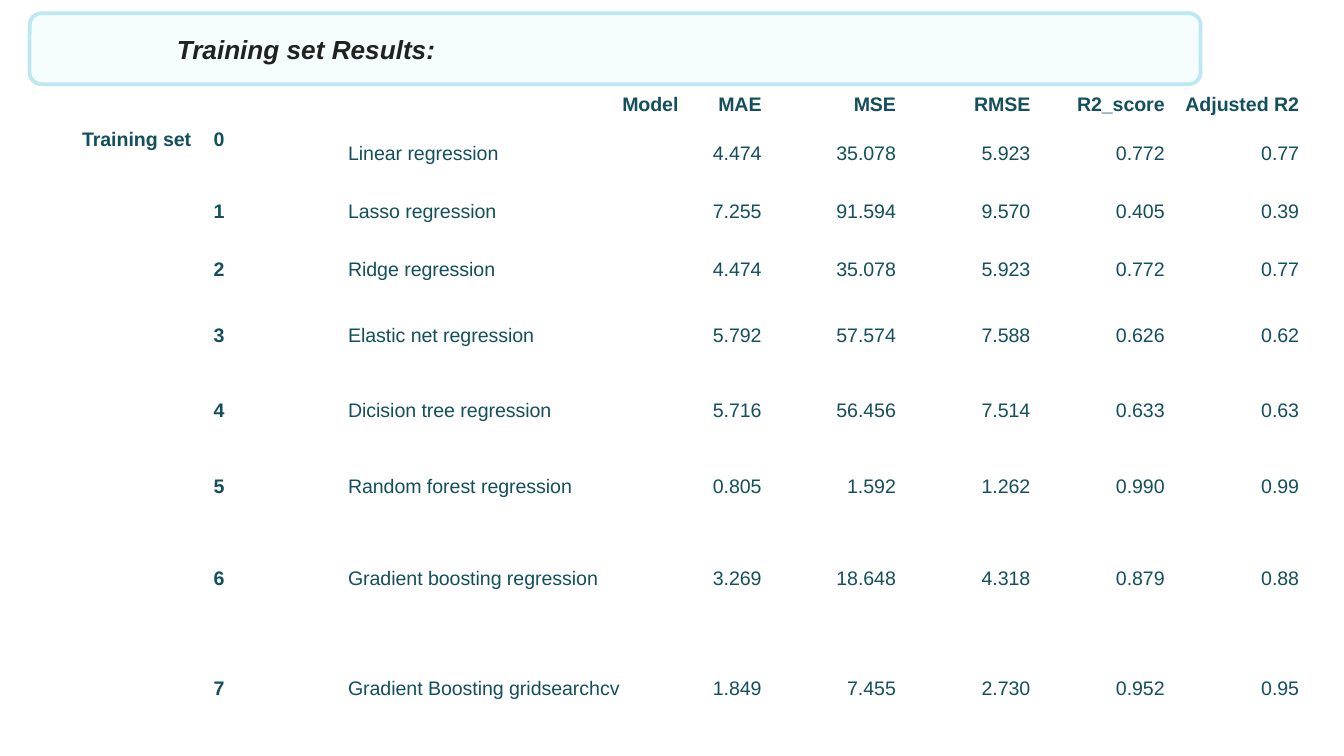
from pptx import Presentation
from pptx.dml.color import RGBColor
from pptx.enum import shapes, text
from pptx.util import Pt

WHITE = RGBColor(0xFF, 0xFF, 0xFF)
TEAL = RGBColor(0x13, 0x4F, 0x5C)
INK = RGBColor(0x21, 0x21, 0x21)
BANNER_FILL = RGBColor(0xF5, 0xFD, 0xFF)
BANNER_LINE = RGBColor(0xBD, 0xE8, 0xF1)
FONT = "Arial"

COLUMN_WIDTHS = [70.5, 72, 186, 44.5] + [72] * 4
ROW_HEIGHTS = [21.6] + [31] * 3 + [40.3] * 3 + [58.9] * 2
HEADERS = ["", "", "Model", "MAE", "MSE", "RMSE", "R2_score", "Adjusted R2"]
RESULTS = [
    ("Linear regression", "4.474", "35.078", "5.923", "0.772", "0.77"),
    ("Lasso regression", "7.255", "91.594", "9.570", "0.405", "0.39"),
    ("Ridge regression", "4.474", "35.078", "5.923", "0.772", "0.77"),
    ("Elastic net regression", "5.792", "57.574", "7.588", "0.626", "0.62"),
    ("Dicision tree regression", "5.716", "56.456", "7.514", "0.633", "0.63"),
    ("Random forest regression", "0.805", "1.592", "1.262", "0.990", "0.99"),
    ("Gradient boosting regression", "3.269", "18.648", "4.318", "0.879", "0.88"),
    ("Gradient Boosting gridsearchcv", "1.849", "7.455", "2.730", "0.952", "0.95"),
]


def style_font(font, size, color, bold, italic=False):
    font.name, font.size = FONT, Pt(size)
    font.bold, font.italic = bold, italic
    font.color.rgb = color


def fill_cell(cell, words, bold, align, anchor):
    cell.fill.solid()
    cell.fill.fore_color.rgb = WHITE
    cell.margin_left = cell.margin_right = Pt(4.5)
    cell.margin_top = cell.margin_bottom = Pt(2.25)
    cell.vertical_anchor = anchor
    cell.text = words
    para = cell.text_frame.paragraphs[0]
    para.alignment = align
    style_font(para.font, 10.5, TEAL, bold)
    if not words:
        para.line_spacing = Pt(12)  # keeps blank cells from stretching the row


def add_results_table(page, left, top):
    rows = [HEADERS]
    for index, result in enumerate(RESULTS):
        rows.append(["" if index else "Training set", str(index), *result])

    frame = page.shapes.add_table(
        len(rows), len(HEADERS), Pt(left), Pt(top),
        Pt(sum(COLUMN_WIDTHS)), Pt(sum(ROW_HEIGHTS)))
    table = frame.table
    table.first_row = table.horz_banding = False
    for column, width in zip(table.columns, COLUMN_WIDTHS):
        column.width = Pt(width)
    for row, height in zip(table.rows, ROW_HEIGHTS):
        row.height = Pt(height)

    # Headers and numbers align right; the first data row's labels sit at the top
    for r, row in enumerate(rows):
        for c, words in enumerate(row):
            is_right = r == 0 or c > 2
            is_top = c == 0 or (r == 1 and c == 1)
            fill_cell(
                table.cell(r, c), words, r == 0 or c < 2,
                text.PP_ALIGN.RIGHT if is_right else text.PP_ALIGN.LEFT,
                text.MSO_ANCHOR.TOP if is_top else text.MSO_ANCHOR.MIDDLE)
    table.cell(1, 0).merge(table.cell(len(rows) - 1, 0))


def add_title_banner(page, left, top, width, height):
    banner = page.shapes.add_shape(
        shapes.MSO_SHAPE.ROUNDED_RECTANGLE,
        Pt(left), Pt(top), Pt(width), Pt(height))
    banner.shadow.inherit = False
    banner.fill.solid()
    banner.fill.fore_color.rgb = BANNER_FILL
    banner.line.color.rgb = BANNER_LINE
    banner.line.width = Pt(2)

    frame = banner.text_frame
    frame.word_wrap = True
    frame.margin_left = Pt(77)
    frame.vertical_anchor = text.MSO_ANCHOR.MIDDLE
    para = frame.paragraphs[0]
    para.text = "Training set Results:"
    para.alignment = text.PP_ALIGN.LEFT
    style_font(para.font, 14, INK, True, True)


def main():
    deck = Presentation()
    deck.slide_width, deck.slide_height = Pt(720), Pt(405)
    page = deck.slides.add_slide(deck.slide_layouts[6])
    add_results_table(page, 39.5, 45.3)
    add_title_banner(page, 15.9, 7.1, 627.3, 38)
    deck.save("out.pptx")


if __name__ == "__main__":
    main()
